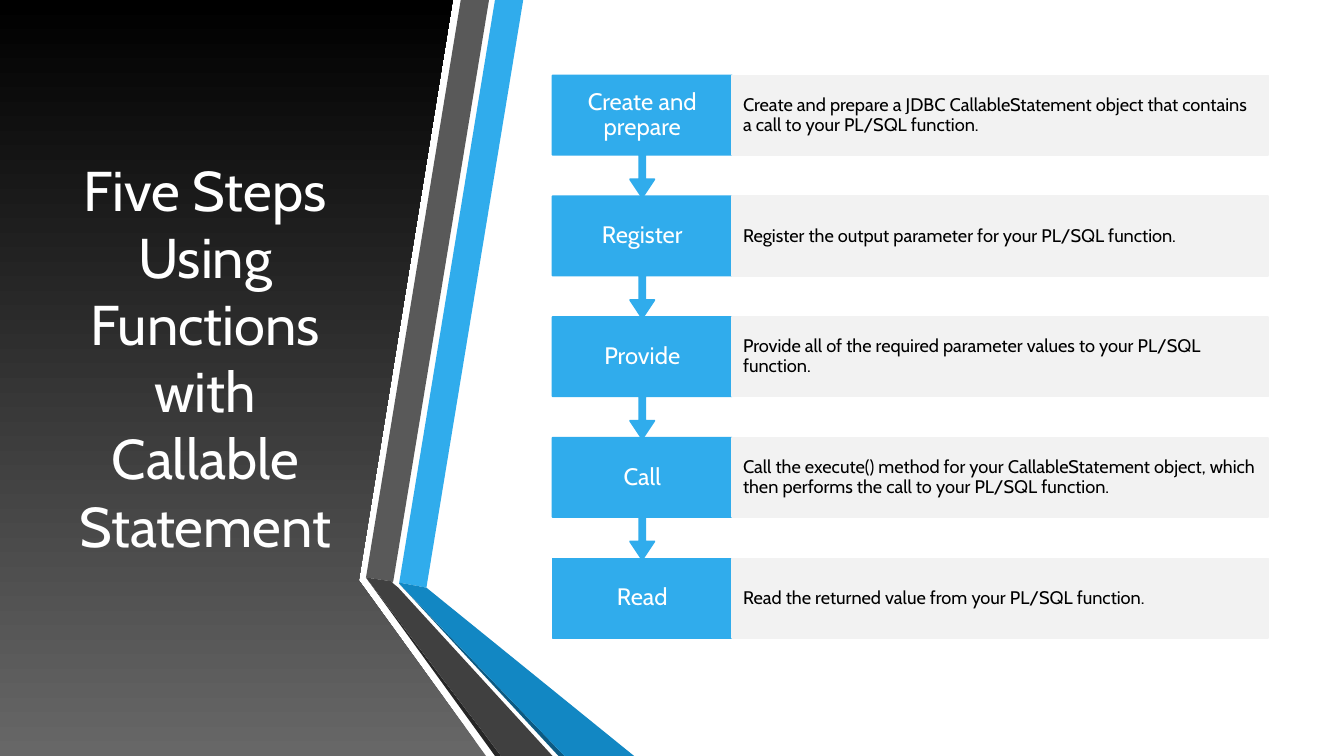
from pptx import Presentation
from pptx.dml.color import RGBColor
from pptx.enum.shapes import MSO_SHAPE
from pptx.enum.text import MSO_ANCHOR, MSO_AUTO_SIZE, PP_ALIGN
from pptx.util import Pt

PX = 9144  # EMU per px, 100 px to the inch
SLIDE_W, SLIDE_H = 1333, 750
FONT = "Cabin"
COLORS = {
    "white": "FFFFFF", "black": "000000", "panel_bottom": "676767",
    "blue": "30ACEC", "deep_blue": "1287C3", "blue_edge": "0C5A82",
    "gray": "595959", "dark_gray": "404040", "gray_edge": "262626",
    "description": "F2F2F2",
}

# Outlines relative to the top left corner of the side region
PANEL = [(0, 0), (449, 0), (356, 575), (356, 576), (482, 750), (0, 750)]
RIBBONS = [
    ("blue", [(396, 578), (423, 583), (519, 0), (491, 0)]),
    ("gray", [(485, 0), (457, 0), (363, 573), (390, 577)]),
    ("gray_edge", [(363, 573), (491, 750), (497, 750)]),
    ("blue_edge", [(396, 579), (554, 750), (560, 750)]),
    ("deep_blue", [(396, 579), (560, 750), (629, 750), (423, 583), (396, 578)]),
    ("dark_gray", [(548, 750), (395, 583), (389, 578), (390, 577),
                   (363, 573), (497, 750)]),
]
STEPS = [
    ("Create and prepare", "Create and prepare a JDBC CallableStatement object "
     "that contains a call to your PL/SQL function."),
    ("Register", "Register the output parameter for your PL/SQL function."),
    ("Provide", "Provide all of the required parameter values to your PL/SQL function."),
    ("Call", "Call the execute() method for your CallableStatement object, "
     "which then performs the call to your PL/SQL function."),
    ("Read", "Read the returned value from your PL/SQL function."),
]


def rgb(name):
    return RGBColor.from_string(COLORS[name])


def write(shape, text, size, color, align, margins, spacing):
    frame = shape.text_frame
    frame.word_wrap = True
    frame.auto_size = MSO_AUTO_SIZE.NONE
    frame.vertical_anchor = MSO_ANCHOR.MIDDLE
    side, end = margins
    frame.margin_left = frame.margin_right = side * PX
    frame.margin_top = frame.margin_bottom = end * PX
    paragraph = frame.paragraphs[0]
    paragraph.alignment = align
    paragraph.line_spacing = spacing
    run = paragraph.add_run()
    run.text = text
    run.font.name = FONT
    run.font.size = Pt(size)
    run.font.color.rgb = rgb(color)


def add_outline(slide, left, top, points):
    (x, y), *rest = [(left + x, top + y) for x, y in points]
    builder = slide.shapes.build_freeform(x, y, scale=PX)
    builder.add_line_segments(rest, close=True)
    outline = builder.convert_to_shape()
    outline.shadow.inherit = False
    outline.line.fill.background()
    return outline


def add_block(slide, kind, left, top, width, height, color):
    block = slide.shapes.add_shape(kind, left * PX, round(top * PX),
                                   width * PX, round(height * PX))
    block.shadow.inherit = False
    block.fill.solid()
    block.fill.fore_color.rgb = rgb(color)
    block.line.color.rgb = rgb(color)
    block.line.width = Pt(1.25)
    return block


def draw_side(slide, left, top):
    # Gradient panel, dark at the top
    fill = add_outline(slide, left, top, PANEL).fill
    fill.gradient()
    fill.gradient_angle = 90
    for stop, color, position in zip(fill.gradient_stops,
                                     ("panel_bottom", "black"), (0, 1)):
        stop.color.rgb = rgb(color)
        stop.position = position

    # Folded ribbons
    for color, points in RIBBONS:
        ribbon = add_outline(slide, left, top, points)
        ribbon.fill.solid()
        ribbon.fill.fore_color.rgb = rgb(color)


def draw_title(slide, left, top, width, height):
    title = slide.shapes.title
    title.left, title.top = left * PX, top * PX
    title.width, title.height = width * PX, height * PX
    write(title, "Five Steps Using Functions with Callable Statement",
          40, "white", PP_ALIGN.CENTER, (10, 5), 1.0)
    # Bring the title in front of the panel
    slide.shapes._spTree.append(title._element)


def draw_steps(slide, left, top, width, height):
    label_w, row_h, callout_h = 178, 79, 121
    pitch = (height - row_h) / (len(STEPS) - 1)
    # From the bottom up, so that each arrow lies over the next label
    for index, (label, description) in reversed(list(enumerate(STEPS))):
        row_top = top + index * pitch

        # Label, with an arrow to the next step
        if index == len(STEPS) - 1:
            step = add_block(slide, MSO_SHAPE.RECTANGLE, left, row_top,
                             label_w, row_h, "blue")
        else:
            step = add_block(slide, MSO_SHAPE.DOWN_ARROW_CALLOUT, left, row_top,
                             label_w, callout_h, "blue")
            for position, value in enumerate((0.05, 0.1, 0.15, 0.65)):
                step.adjustments[position] = value
        write(step, label, 17, "white", PP_ALIGN.CENTER, (13, 13), 0.9)

        # Description
        detail = add_block(slide, MSO_SHAPE.RECTANGLE, left + label_w, row_top,
                           width - label_w, row_h, "description")
        write(detail, description, 13, "black", PP_ALIGN.LEFT, (11, 18), 0.9)


def main():
    deck = Presentation()
    deck.slide_width, deck.slide_height = SLIDE_W * PX, SLIDE_H * PX
    slide = deck.slides.add_slide(deck.slide_layouts.get_by_name("Title Only"))
    slide.background.fill.solid()
    slide.background.fill.fore_color.rgb = rgb("white")
    draw_side(slide, 0, 0)
    draw_title(slide, 59, 75, 289, 558)
    draw_steps(slide, 548, 75, 710, 558)
    deck.save("out.pptx")


if __name__ == "__main__":
    main()
